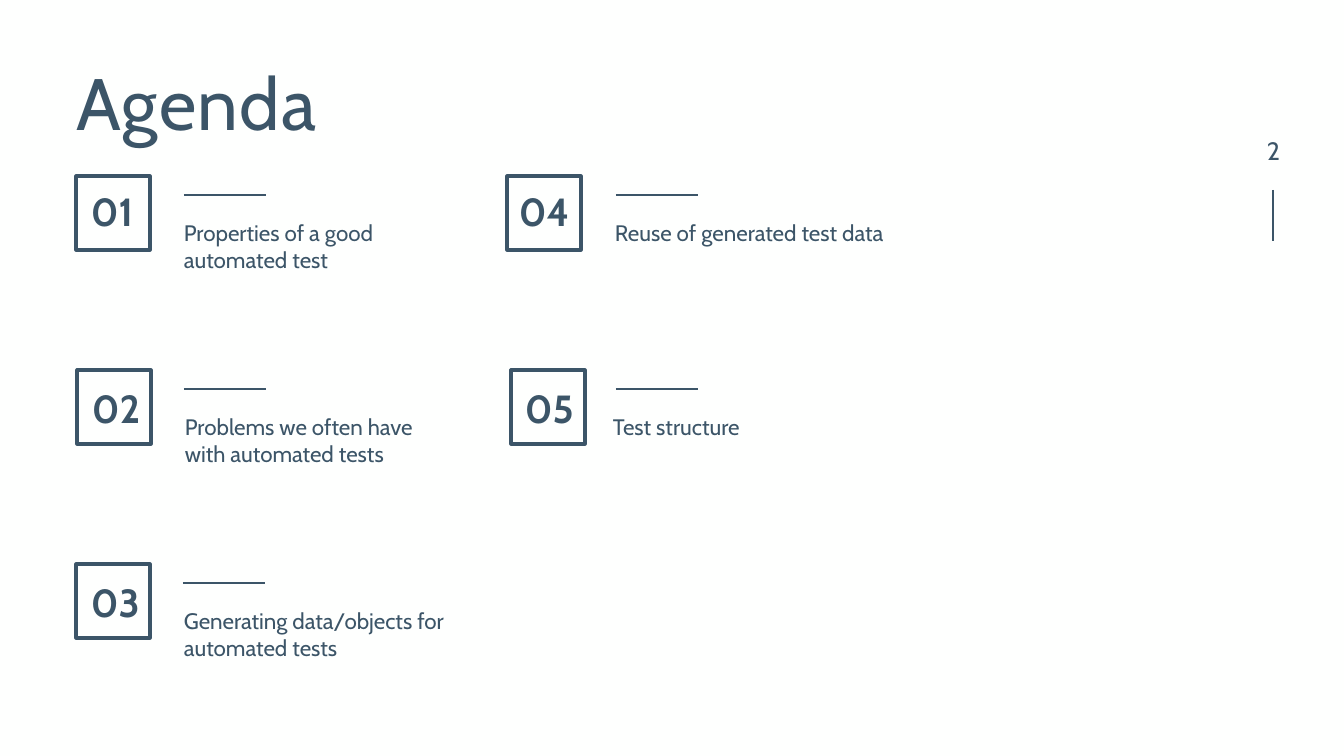
from pptx import Presentation
from pptx.dml.color import RGBColor
from pptx.enum.shapes import MSO_CONNECTOR as CONNECTOR, MSO_SHAPE as SHAPE
from pptx.enum.text import MSO_ANCHOR as ANCHOR, MSO_AUTO_SIZE as AUTO_SIZE, PP_ALIGN as ALIGN
from pptx.oxml.ns import qn
from pptx.util import Emu, Pt
from lxml.etree import SubElement

SCALE = 914400 / 100.8
INK = RGBColor.from_string("3C5568")


def px(*lengths):
    return [Emu(round(length * SCALE)) for length in lengths]


def write(shape, text, size, bold=False, anchor=ANCHOR.TOP, **spacing):
    frame = shape.text_frame
    frame_format = {"word_wrap": True, "auto_size": AUTO_SIZE.NONE, "vertical_anchor": anchor}
    paragraph = frame.paragraphs[0]
    run = paragraph.add_run()
    run.text = text
    font_format = {"name": "Cabin", "size": Pt(size), "bold": bold}
    for target, values in (
        (frame, frame_format),
        (paragraph, {"alignment": ALIGN.LEFT, **spacing}),
        (run.font, font_format),
    ):
        for name, value in values.items():
            setattr(target, name, value)
    run.font.color.rgb = INK
    return run


# Slide
prs = Presentation()
prs.slide_width, prs.slide_height = px(1344, 756)
slide = prs.slides.add_slide(prs.slide_layouts[5])
slide.background.fill.solid()
slide.background.fill.fore_color.rgb = RGBColor.from_string("FEFFFE")
shapes = slide.shapes

# Heading
heading = shapes.title
heading.left, heading.top, heading.width, heading.height = px(66, 28, 755, 130)
heading_run = write(heading, "Agenda", 52, anchor=ANCHOR.MIDDLE, line_spacing=1.2)
heading_run.font._element.set("spc", "100")

# Page number
write(shapes.add_textbox(*px(1257, 130, 51, 40)), "2", 18)
rules = [(1273, 190, 1273, 241)]

# Agenda items: row, left of square, number, rule and caption, number offset, caption width
ROW_TOP, ROW_PITCH, SQUARE, RULE_LENGTH = 176, 194, 74, 82
agenda = [
    ("01", "Properties of a good automated test", 0, 76, 81, 184, 174, 12, 309),
    ("02", "Problems we often have with automated tests", 1, 77, 82, 184, 175, 15, 290),
    ("03", "Generating data/objects for automated tests", 2, 76, 81, 183, 174, 15, 290),
    ("04", "Reuse of generated test data", 0, 507, 509, 616, 605, 12, 309),
    ("05", "Test structure", 1, 511, 515, 616, 603, 15, 309),
]
for (number, topic, row, square_x, number_x, rule_x, topic_x,
     number_drop, topic_width) in agenda:
    top = ROW_TOP + row * ROW_PITCH
    topic_box = shapes.add_textbox(*px(topic_x, top + 38, topic_width, 143))
    write(topic_box, topic, 16, space_before=Pt(10))
    number_box = shapes.add_textbox(*px(number_x, top + number_drop, 76, 44))
    write(number_box, number, 28, bold=True, line_spacing=0.9, space_before=Pt(10))

    square = shapes.add_shape(SHAPE.RECTANGLE, *px(square_x, top, SQUARE, SQUARE))
    square.shadow.inherit = False
    square.fill.background()
    square.line.color.rgb = INK
    square.line.width = Pt(2.25)
    rules.append((rule_x, top + 19, rule_x + RULE_LENGTH, top + 19))

# Rules beside the page number and above the topics
for ends in rules:
    rule = shapes.add_connector(CONNECTOR.STRAIGHT, *px(*ends))
    rule.line.color.rgb = INK
    rule.line.width = Pt(1.5)
    SubElement(rule._element.spPr, qn("a:effectLst"))

prs.save("out.pptx")
